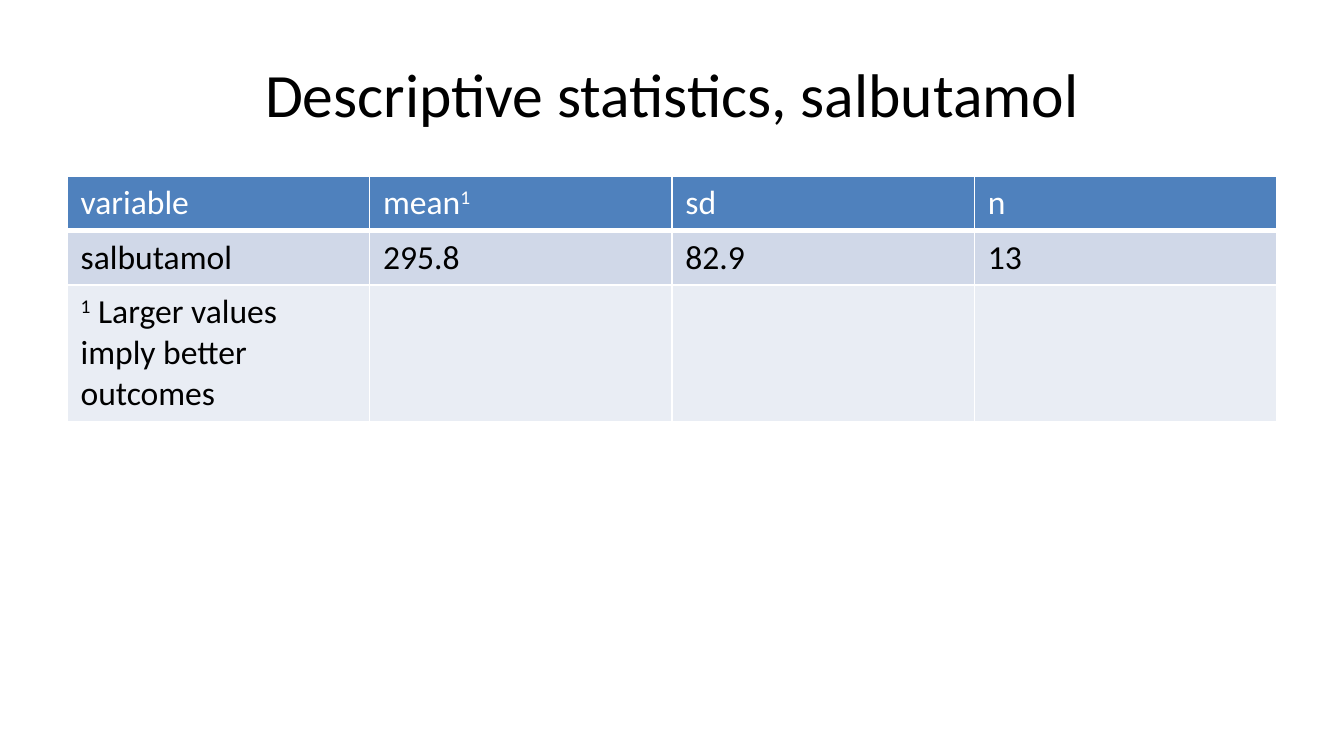
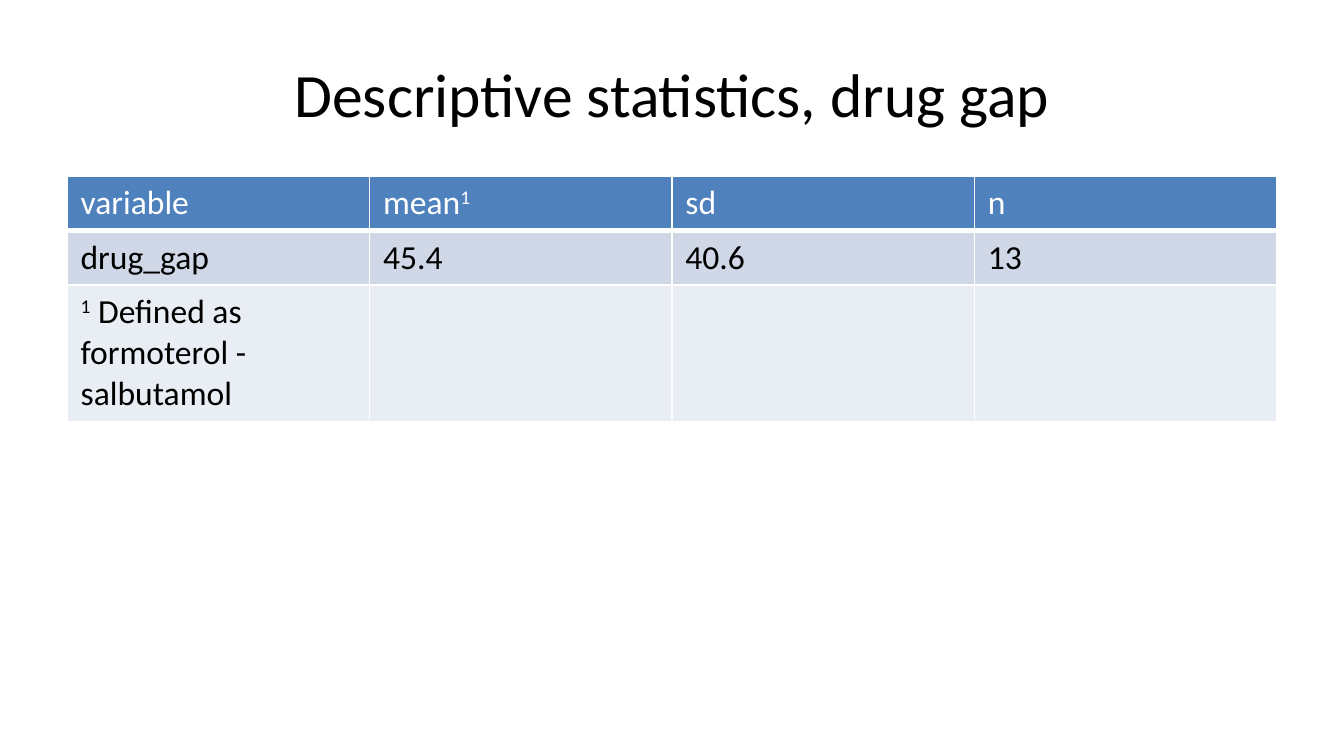
from lxml.etree import SubElement as Sub
from pptx import Presentation
from pptx.dml.color import RGBColor as Rgb
from pptx.enum.text import MSO_ANCHOR as Anchor, PP_ALIGN as Align
from pptx.oxml.ns import qn
from pptx.util import Inches, Pt

COLORS = {
    "white": "FFFFFF",
    "black": "000000",
    "head": "4F81BD",
    "band": "D0D8E8",
    "pale": "E9EDF4",
}
FONT = "Calibri"
WIDE = 10
HIGH = WIDE * 9 / 16
LEFT, WIDTH = 0.5, 9
HEADS = ["variable", ("mean", "^1"), "sd", "n"]
FILLS = ["head", "band", "pale"]


class Deck:
    def __init__(self):
        self.prs = Presentation()
        self.prs.slide_width = Inches(WIDE)
        self.prs.slide_height = Inches(HIGH)
        self.slide = None

    def color(self, name):
        return Rgb.from_string(COLORS[name])

    def style(self, run, size, color):
        font = run.font
        font.name, font.size, font.bold = FONT, Pt(size), False
        font.color.rgb = self.color(color)

    def title(self, text):
        """Start a slide with a centred title."""
        self.slide = self.prs.slides.add_slide(self.prs.slide_layouts[5])
        box = self.slide.shapes.title
        box.left, box.top = Inches(LEFT), Inches(HIGH * 0.04)
        box.width, box.height = Inches(WIDTH), Inches(HIGH / 6)
        frame = box.text_frame
        frame.text = text
        frame.vertical_anchor = Anchor.MIDDLE
        para = frame.paragraphs[0]
        para.alignment = Align.CENTER
        self.style(para.runs[0], 33, "black")

    def edge(self, cell, side, width):
        line = Sub(cell._tc.get_or_add_tcPr(), qn(f"a:{side}"), w=str(Pt(width)))
        fill = Sub(line, qn("a:solidFill"))
        Sub(fill, qn("a:srgbClr"), val=COLORS["white"])

    def cell(self, cell, parts, row):
        """Fill one cell; a part that starts with ^ is raised."""
        for side in ("lnL", "lnR", "lnT", "lnB"):
            self.edge(cell, side, 3 if (row, side) == (0, "lnB") else 1)
        cell.fill.solid()
        cell.fill.fore_color.rgb = self.color(FILLS[row])
        para = cell.text_frame.paragraphs[0]
        for part in [parts] if isinstance(parts, str) else parts:
            run = para.add_run()
            run.text = part.lstrip("^")
            self.style(run, 18, "black" if row else "white")
            if part.startswith("^"):
                run._r.get_or_add_rPr().set("baseline", "30000")

    def table(self, data):
        """Add a table whose rows grow to fit their text."""
        count, high = len(HEADS), Inches(3.71)
        frame = self.slide.shapes.add_table(
            len(data), count, Inches(LEFT), Inches(1.31), Inches(WIDTH), high)
        table = frame.table
        for col in table.columns:
            col.width = Inches(WIDTH / count)
        for row, parts in enumerate(data):
            table.rows[row].height = Inches(0)
            for col in range(count):
                text = parts[col] if col < len(parts) else ()
                self.cell(table.cell(row, col), text, row)
        frame.height = high

    def stats(self, name, values, note):
        """Add a slide with one variable and its footnote."""
        self.title(f"Descriptive statistics, {name.replace('_', ' ')}")
        self.table([HEADS, [name, *values], [("^1", f" {note}")]])


def main():
    deck = Deck()
    # Salbutamol
    deck.stats("salbutamol", ["295.8", "82.9", "13"],
               "Larger values imply better outcomes")
    # Drug gap
    deck.stats("drug_gap", ["45.4", "40.6", "13"],
               "Defined as formoterol - salbutamol")
    deck.prs.save("out.pptx")


if __name__ == "__main__":
    main()
